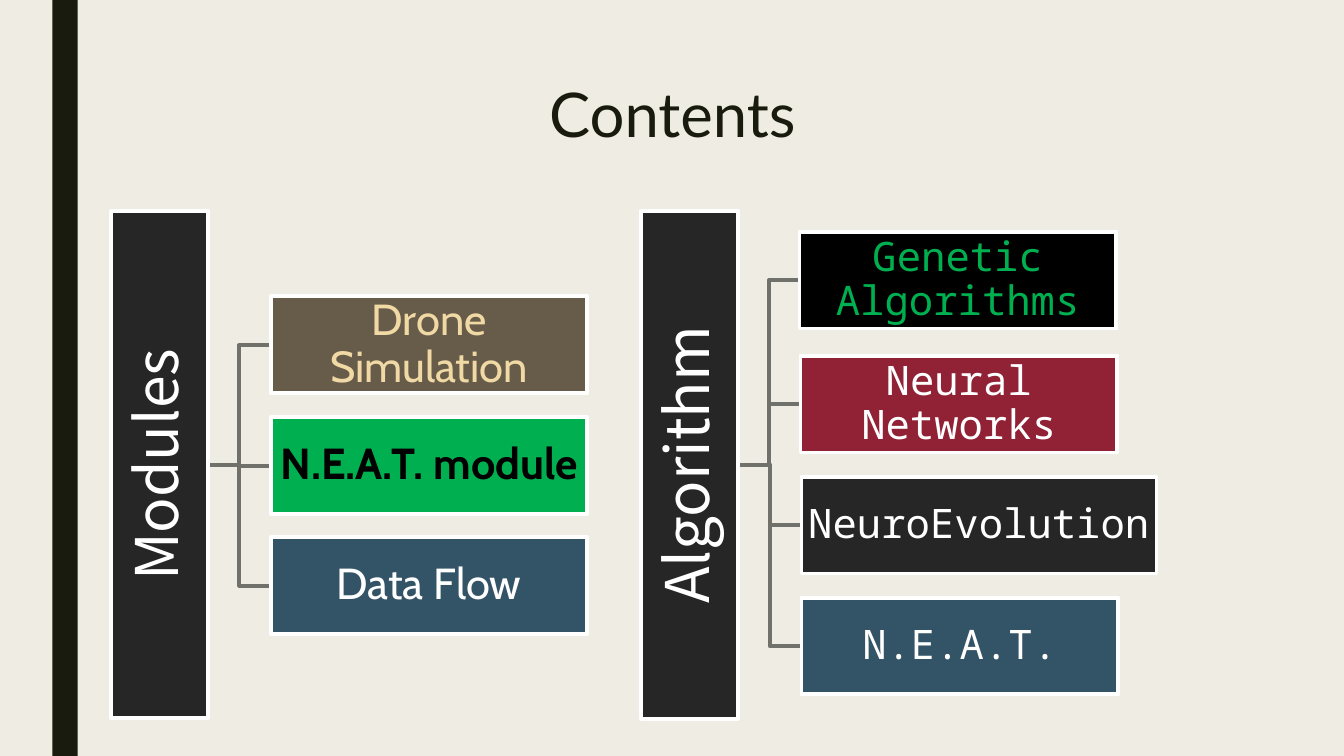
from pptx import Presentation
from pptx.dml.color import RGBColor
from pptx.enum.shapes import MSO_SHAPE
from pptx.enum.text import MSO_ANCHOR, PP_ALIGN
from pptx.util import Inches, Pt

RECT = MSO_SHAPE.RECTANGLE
CENTER = PP_ALIGN.CENTER
MIDDLE = MSO_ANCHOR.MIDDLE

CREAM = RGBColor(0xEF, 0xED, 0xE3)
INK = RGBColor(0x19, 0x1B, 0x0E)
GRAY = RGBColor(0x70, 0x71, 0x6B)
CHARCOAL = RGBColor(0x26, 0x26, 0x26)
WHITE = RGBColor(0xFF, 0xFF, 0xFF)
BLACK = RGBColor(0x00, 0x00, 0x00)
BROWN = RGBColor(0x67, 0x5C, 0x49)
SAND = RGBColor(0xF0, 0xD9, 0xA5)
GREEN = RGBColor(0x00, 0xB0, 0x50)
BLUE = RGBColor(0x33, 0x53, 0x66)
RED = RGBColor(0x91, 0x22, 0x36)

LINE_WIDTH = Pt(2.75)
BOX_HEIGHT = 0.96
ROOT_MIDDLE = 4.61


def write(sp, text, font, size, color, bold=False, spacing=0.9, inset=0.02):
    tf = sp.text_frame
    tf.word_wrap = True
    tf.vertical_anchor = MIDDLE
    tf.margin_left = tf.margin_right = Inches(inset)
    tf.margin_top = tf.margin_bottom = Inches(inset)
    p = tf.paragraphs[0]
    p.alignment = CENTER
    p.line_spacing = spacing
    r = p.add_run()
    r.text = text
    r.font.name = font
    r.font.size = Pt(size)
    r.font.bold = bold
    r.font.color.rgb = color


def add_box(s, left, top, width, height, fill, outline=None):
    sp = s.shapes.add_shape(RECT, Inches(left), Inches(top), Inches(width), Inches(height))
    sp.shadow.inherit = False
    sp.fill.solid()
    sp.fill.fore_color.rgb = fill
    if outline is None:
        sp.line.fill.background()
    else:
        sp.line.color.rgb = outline
        sp.line.width = LINE_WIDTH
    return sp


def add_elbow(s, x1, y1, x2, y2):
    middle = (x1 + x2) / 2
    corners = [(middle, y1), (middle, y2), (x2, y2)]
    builder = s.shapes.build_freeform(Inches(x1), Inches(y1))
    builder.add_line_segments([(Inches(x), Inches(y)) for x, y in corners], close=False)
    sp = builder.convert_to_shape()
    sp.shadow.inherit = False
    sp.fill.background()
    sp.line.color.rgb = GRAY
    sp.line.width = LINE_WIDTH


def add_title(s, text):
    sp = s.shapes.add_textbox(Inches(1.5), Inches(0.75), Inches(10.34), Inches(0.83))
    write(sp, text, "Lato", 44, INK, spacing=0.89)


def add_tree(s, root, root_right, root_length, root_size, font, size, branches):
    for _, left, top, *_ in branches:
        add_elbow(s, root_right, ROOT_MIDDLE, left, top + BOX_HEIGHT / 2)
    root_left = root_right - (BOX_HEIGHT + root_length) / 2
    sp = add_box(s, root_left, ROOT_MIDDLE - BOX_HEIGHT / 2, root_length, BOX_HEIGHT,
                 CHARCOAL, WHITE)
    sp.rotation = 270
    write(sp, root, "Noto Sans CJK SC", root_size, WHITE, inset=0.03)
    for text, left, top, width, fill, color, bold in branches:
        sp = add_box(s, left, top, width, BOX_HEIGHT, fill, WHITE)
        write(sp, text, font, size, color, bold=bold)


def main():
    prs = Presentation()
    prs.slide_width = Inches(13.33)
    prs.slide_height = Inches(7.5)
    s = prs.slides.add_slide(prs.slide_layouts[6])
    s.background.fill.solid()
    s.background.fill.fore_color.rgb = CREAM

    add_box(s, 0.52, 0, 0.25, 7.5, INK)
    add_title(s, "Contents")
    add_tree(s, "Modules", 2.06, 5.03, 42, "Cabin", 31, [
        ("Drone Simulation", 2.69, 2.94, 3.13, BROWN, SAND, False),
        ("N.E.A.T. module", 2.69, 4.14, 3.13, GREEN, BLACK, True),
        ("Data Flow", 2.69, 5.33, 3.13, BLUE, WHITE, False),
    ])
    add_tree(s, "Algorithm", 7.32, 5.04, 43, "Noto Sans Mono", 29, [
        ("Genetic Algorithms", 7.93, 2.3, 3.14, BLACK, GREEN, False),
        ("Neural Networks", 7.94, 3.53, 3.14, RED, WHITE, False),
        ("NeuroEvolution", 7.95, 4.73, 3.52, CHARCOAL, WHITE, False),
        ("N.E.A.T.", 7.95, 5.93, 3.14, BLUE, WHITE, False),
    ])
    prs.save("out.pptx")


if __name__ == "__main__":
    main()
